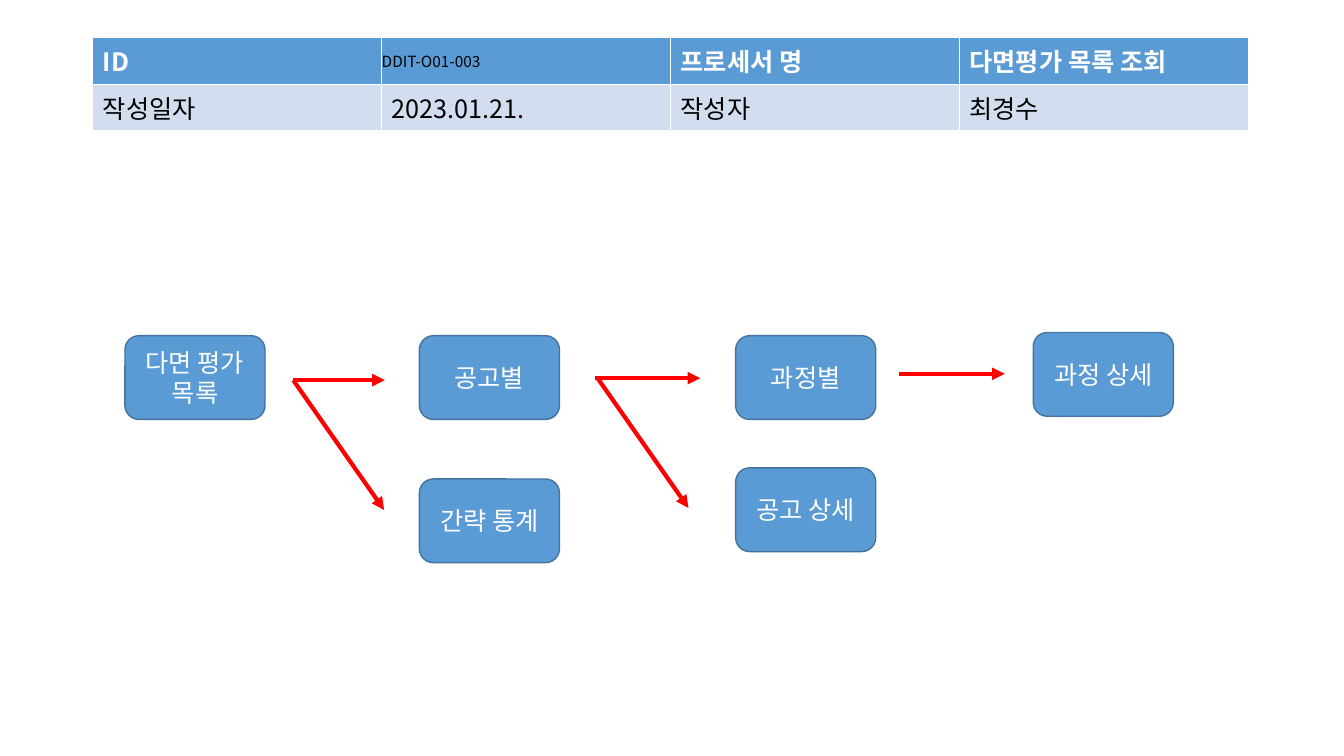
from lxml import etree
from pptx import Presentation
from pptx.dml.color import RGBColor
from pptx.enum.shapes import MSO_CONNECTOR, MSO_SHAPE
from pptx.enum.text import MSO_ANCHOR, PP_ALIGN
from pptx.oxml.ns import qn
from pptx.util import Cm, Pt

STRAIGHT = MSO_CONNECTOR.STRAIGHT
ROUNDED = MSO_SHAPE.ROUNDED_RECTANGLE
MIDDLE = MSO_ANCHOR.MIDDLE
TOP = MSO_ANCHOR.TOP
CENTER = PP_ALIGN.CENTER

FONT = "Noto Sans CJK KR"
BLUE, PALE, OUTLINE = "5B9BD5", "D2DEEF", "43739E"
WHITE, BLACK, RED = "FFFFFF", "000000", "FF0000"

HEADER = ["ID", "DDIT-O01-003", "프로세서 명", "다면평가 목록 조회"]
DETAILS = ["작성일자", "2023.01.21.", "작성자", "최경수"]
STEPS = [
    ("다면 평가\n목록", 3.15, 8.46),
    ("공고별", 10.57, 8.46),
    ("간략 통계", 10.57, 12.07),
    ("과정별", 18.54, 8.46),
    ("공고 상세", 18.54, 11.79),
    ("과정 상세", 26.04, 8.38),
]
ARROWS = [
    (7.39, 9.58, 9.7, 9.58),
    (7.39, 9.58, 9.68, 12.85),
    (14.99, 9.53, 17.65, 9.53),
    (15.06, 9.53, 17.35, 12.8),
    (22.66, 9.42, 25.32, 9.42),
]


def color(hex_value):
    """Turn a hex string into a colour."""
    return RGBColor.from_string(hex_value)


def style(paragraph, hex_value, size=18, bold=False):
    """Set the font of a paragraph for Latin and Korean text."""
    font = paragraph.font
    font.name, font.size, font.bold = FONT, Pt(size), bold
    font.color.rgb = color(hex_value)
    defaults = paragraph._p.pPr.find(qn("a:defRPr"))
    etree.SubElement(defaults, qn("a:ea"), typeface=FONT)


def border_cell(cell):
    """Draw thin white borders around a table cell."""
    properties = cell._tc.get_or_add_tcPr()
    for index, side in enumerate(("a:lnL", "a:lnR", "a:lnT", "a:lnB")):
        border = etree.Element(qn(side), w=str(Pt(1)))
        fill = etree.SubElement(border, qn("a:solidFill"))
        etree.SubElement(fill, qn("a:srgbClr"), val=WHITE)
        properties.insert(index, border)


def fill_cell(cell, text, background, text_color, size=18, bold=False):
    """Write and colour one table cell."""
    cell.text = text
    cell.vertical_anchor = TOP
    cell.fill.solid()
    cell.fill.fore_color.rgb = color(background)
    style(cell.text_frame.paragraphs[0], text_color, size, bold)
    border_cell(cell)


def add_process_table(slide):
    """Add the table that identifies the process."""
    table = slide.shapes.add_table(
        2, 4, Cm(2.34), Cm(0.95), Cm(29.12), Cm(2.13)).table
    table.rows[0].height, table.rows[1].height = Cm(1.09), Cm(1.04)
    for column, (heading, detail) in enumerate(zip(HEADER, DETAILS)):
        fill_cell(table.cell(0, column), heading, BLUE, WHITE, bold=True)
        fill_cell(table.cell(1, column), detail, PALE, BLACK)

    process_id = table.cell(0, 1)
    process_id.vertical_anchor = MIDDLE
    process_id.margin_left = process_id.margin_right = 0
    process_id.margin_top = process_id.margin_bottom = 0
    id_font = process_id.text_frame.paragraphs[0].font
    id_font.size, id_font.bold = Pt(11), False
    id_font.color.rgb = color(BLACK)


def add_step(slide, label, left, top):
    """Add one rounded box of the flow."""
    step = slide.shapes.add_shape(
        ROUNDED, Cm(left), Cm(top), Cm(3.53), Cm(2.11))
    step.shadow.inherit = False
    step.fill.solid()
    step.fill.fore_color.rgb = color(BLUE)
    step.line.color.rgb = color(OUTLINE)
    step.line.width = Pt(1)
    step.text_frame.text = label
    step.text_frame.word_wrap = True
    step.text_frame.vertical_anchor = MIDDLE
    for paragraph in step.text_frame.paragraphs:
        paragraph.alignment = CENTER
        style(paragraph, WHITE)


def add_arrow(slide, *ends):
    """Add a red arrow between two points."""
    arrow = slide.shapes.add_connector(STRAIGHT, *map(Cm, ends))
    arrow.line.color.rgb = color(RED)
    arrow.line.width = Pt(3)
    etree.SubElement(arrow.line._get_or_add_ln(), qn("a:tailEnd"),
                     type="triangle")
    etree.SubElement(arrow._element.spPr, qn("a:effectLst"))


def main():
    """Build the process slide and save it."""
    deck = Presentation()
    deck.slide_width, deck.slide_height = Cm(33.87), Cm(19.05)
    slide = deck.slides.add_slide(deck.slide_layouts[6])
    add_process_table(slide)
    for step in STEPS:
        add_step(slide, *step)
    for arrow in ARROWS:
        add_arrow(slide, *arrow)
    deck.save("out.pptx")


if __name__ == "__main__":
    main()
